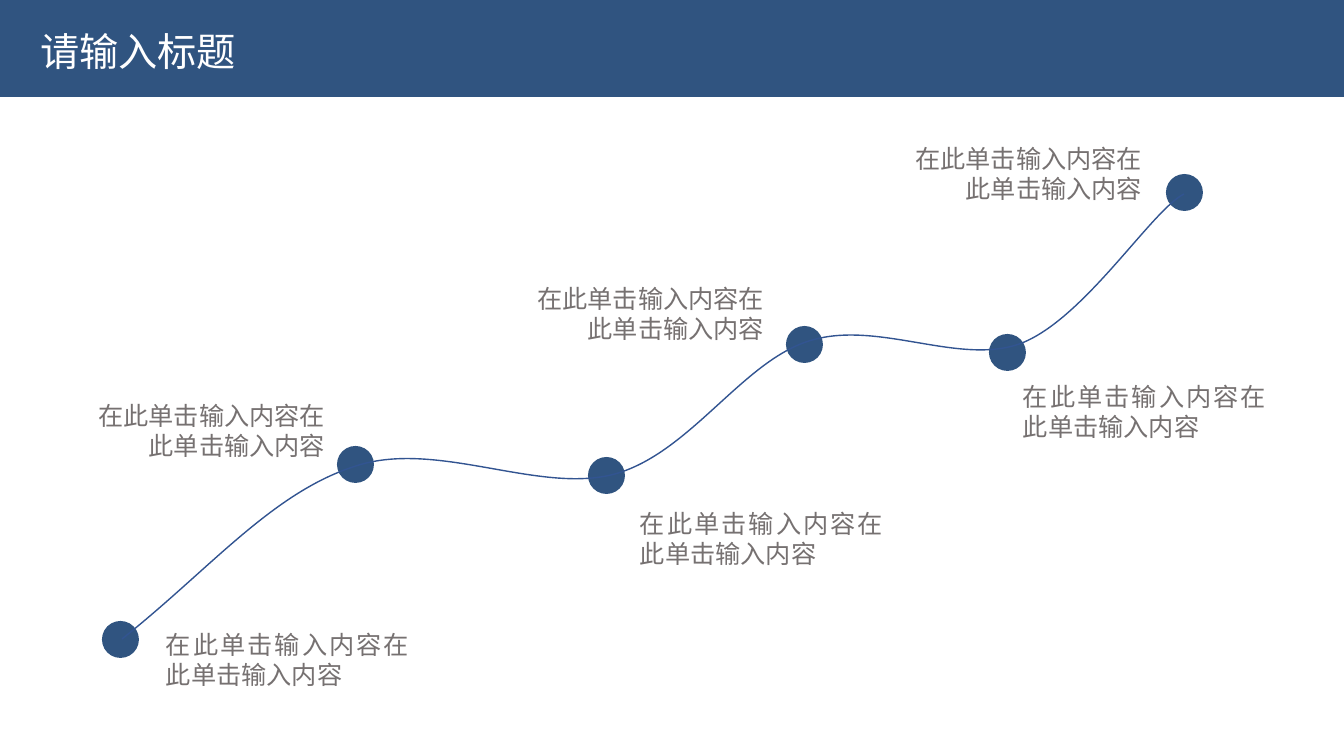
from lxml.etree import SubElement
from pptx import Presentation
from pptx.dml.color import RGBColor
from pptx.enum.shapes import MSO_SHAPE as SHAPE
from pptx.enum.text import MSO_AUTO_SIZE as AUTO, PP_ALIGN as ALIGN
from pptx.oxml.ns import qn
from pptx.util import Pt

PX = 914400 / 100.8
FONT = "Noto Sans CJK SC"
COLORS = {"navy": "305480", "curve": "325491", "gray": "767171", "white": "FFFFFF"}


def add_solid(kind, *box):
    """Add a navy shape without an outline; box is left, top, width, height in px."""
    sp = s.shapes.add_shape(kind, *(round(v * PX) for v in box))
    sp.shadow.inherit = False
    sp.fill.solid()
    sp.fill.fore_color.rgb = RGBColor.from_string(COLORS["navy"])
    sp.line.fill.background()


def add_text(text, box, size, color, align):
    tb = s.shapes.add_textbox(*(round(v * PX) for v in box))
    tf = tb.text_frame
    tf.word_wrap = True
    tf.auto_size = AUTO.SHAPE_TO_FIT_TEXT
    tf.margin_left = tf.margin_right = round(7 * PX)
    tf.margin_top = tf.margin_bottom = round(4 * PX)
    p = tf.paragraphs[0]
    p.alignment = align
    r = p.add_run()
    r.text = text
    r.font.size = Pt(size)
    r.font.color.rgb = RGBColor.from_string(COLORS[color])
    r.font.name = FONT
    SubElement(r.font._element, qn("a:ea"), typeface=FONT)


prs = Presentation()
prs.slide_width, prs.slide_height = round(1344 * PX), round(756 * PX)
s = prs.slides.add_slide(prs.slide_layouts[6])

# Title bar
add_solid(SHAPE.RECTANGLE, 0, 0, 1344, 97)
add_text("请输入标题", (33, 23, 478, 55), 28, "white", ALIGN.LEFT)

# Milestones: dot position, label position, label alignment
milestones = [
    ((102, 621), (159, 625), ALIGN.JUSTIFY),
    ((337, 446), (75, 396), ALIGN.RIGHT),
    ((588, 457), (633, 504), ALIGN.JUSTIFY),
    ((786, 326), (514, 279), ALIGN.RIGHT),
    ((989, 334), (1016, 377), ALIGN.JUSTIFY),
    ((1166, 174), (892, 139), ALIGN.RIGHT),
]
for dot, label, align in milestones:
    add_solid(SHAPE.OVAL, *dot, 37, 37)
    add_text("在此单击输入内容在此单击输入内容", (*label, 257, 69), 18, "gray", align)

# Rising curve: each row holds two control points and an end point
curve_start = (122, 639)
curve_segments = [
    [(209, 570), (271, 494), (353, 467)],
    [(435, 438), (538, 495), (615, 474)],
    [(690, 453), (742, 362), (809, 341)],
    [(878, 319), (960, 367), (1022, 343)],
    [(1085, 318), (1152, 210), (1184, 194)],
]
builder = s.shapes.build_freeform(*curve_start, scale=PX)
for segment in curve_segments:
    builder.add_line_segments(segment, close=False)
curve = builder.convert_to_shape()
curve.shadow.inherit = False
curve.fill.background()
curve.line.color.rgb = RGBColor.from_string(COLORS["curve"])
curve.line.width = Pt(1)

# Turn every three straight steps into one cubic Bézier segment
outline = next(curve._element.iter(qn("a:path")))
steps = outline.findall(qn("a:lnTo"))
for i in range(0, len(steps), 3):
    bezier = SubElement(outline, qn("a:cubicBezTo"))
    for step in steps[i:i + 3]:
        bezier.append(step[0])
        outline.remove(step)

prs.save("out.pptx")
